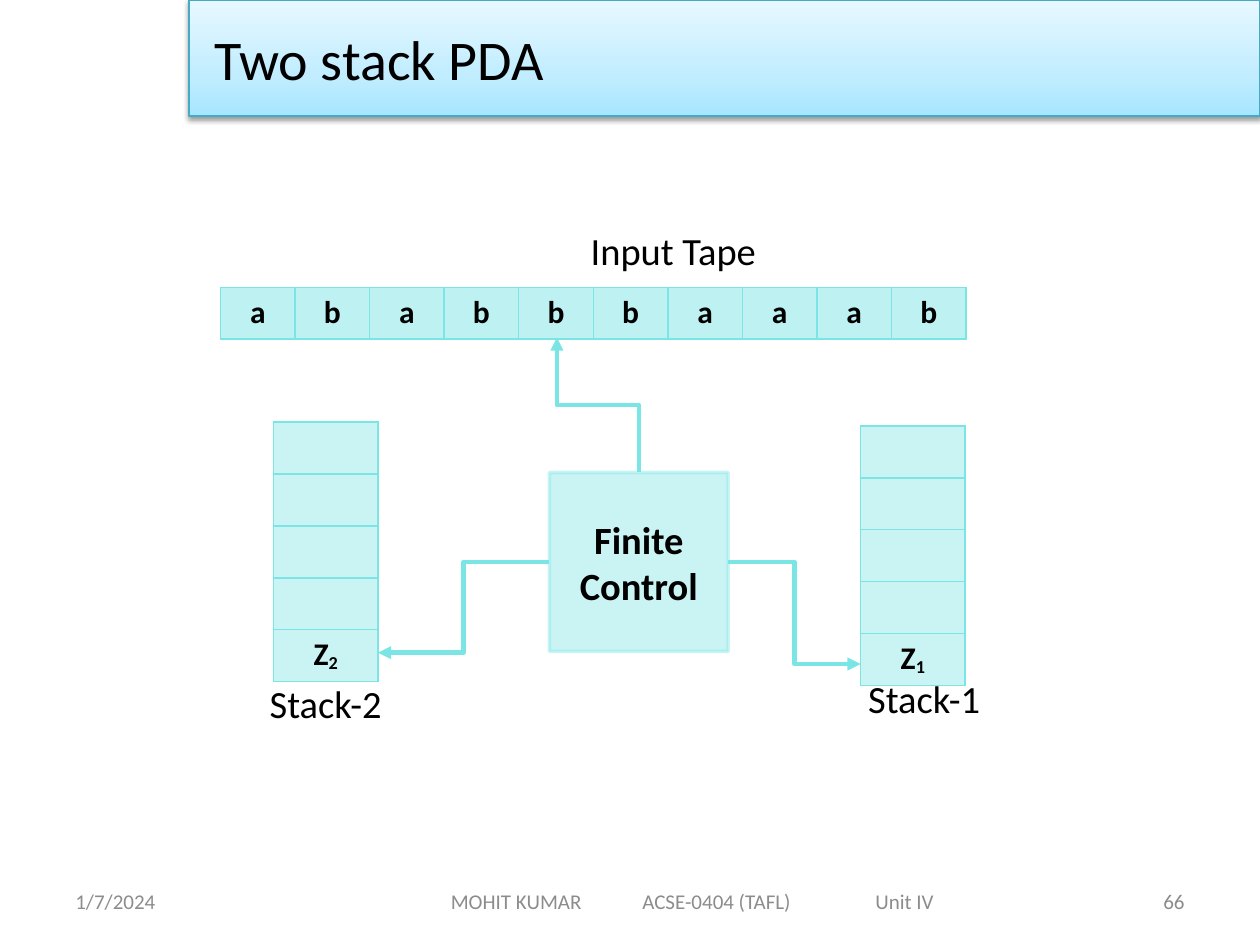
from lxml.etree import SubElement
from pptx import Presentation
from pptx.dml.color import RGBColor
from pptx.enum.shapes import MSO_CONNECTOR, MSO_SHAPE
from pptx.enum.text import MSO_ANCHOR, PP_ALIGN
from pptx.oxml import parse_xml
from pptx.oxml.ns import nsdecls, qn
from pptx.util import Inches, Pt

FONT = "Calibri"
BLACK, GREY, TEAL = "000000", "8C8C8C", "7BE5E5"
HEADER_STOPS = [(0, "A7E6FF"), (35, "C1EDFF"), (100, "E7F8FF")]


def color(hex_text):
    return RGBColor.from_string(hex_text)


def set_alpha(element, percent):
    """Make every colour inside the element partly transparent."""
    for node in element.iter(qn("a:srgbClr")):
        SubElement(node, qn("a:alpha"), val=str(percent * 1000))


class SlideBuilder:
    def __init__(self, slide):
        self.slide = slide
        self.shapes = slide.shapes

    def style(self, para, size, bold=False, ink=BLACK, align=PP_ALIGN.LEFT):
        para.alignment = align
        para.font.name = FONT
        para.font.size = Pt(size)
        para.font.bold = bold
        para.font.color.rgb = color(ink)

    def text(self, words, left, top, width, height, size=22, ink=BLACK,
             align=PP_ALIGN.LEFT, anchor=MSO_ANCHOR.TOP, tabs=()):
        box = self.shapes.add_textbox(Inches(left), Inches(top), Inches(width), Inches(height))
        frame = box.text_frame
        frame.word_wrap = True
        frame.vertical_anchor = anchor
        para = frame.paragraphs[0]
        para.text = words
        self.style(para, size, ink=ink, align=align)
        if tabs:
            tab_list = parse_xml(f"<a:tabLst {nsdecls('a')}/>")
            for stop in tabs:
                SubElement(tab_list, qn("a:tab"), pos=str(Inches(stop)), algn="l")
            para._p.pPr.insert(0, tab_list)

    def rectangle(self, words, left, top, width, height, size, line, line_width,
                  bold=False, align=PP_ALIGN.LEFT):
        box = self.shapes.add_shape(MSO_SHAPE.RECTANGLE, Inches(left), Inches(top),
                                    Inches(width), Inches(height))
        box.shadow.inherit = False
        box.fill.solid()
        box.fill.fore_color.rgb = color(TEAL)
        box.line.color.rgb = color(line)
        box.line.width = Pt(line_width)
        box.text_frame.word_wrap = True
        box.text_frame.vertical_anchor = MSO_ANCHOR.MIDDLE
        para = box.text_frame.paragraphs[0]
        para.text = words
        self.style(para, size, bold, align=align)
        return box

    def header(self, words):
        """Title band with a three-stop gradient and a soft shadow below."""
        band = self.rectangle(words, 1.5, 0, 8.5, 0.92, 32, "46AAC5", 0.75)
        band.text_frame.margin_left = Inches(0.2)
        stops = "".join(f'<a:gs pos="{position * 1000}"><a:srgbClr val="{shade}"/></a:gs>'
                        for position, shade in HEADER_STOPS)
        properties = band._element.spPr
        properties.replace(properties.find(qn("a:solidFill")), parse_xml(
            f'<a:gradFill {nsdecls("a")} rotWithShape="1"><a:gsLst>{stops}</a:gsLst>'
            '<a:lin ang="16200000" scaled="0"/></a:gradFill>'))
        shadow = SubElement(properties.find(qn("a:effectLst")), qn("a:outerShdw"),
                            blurRad=str(Pt(3.1)), dist=str(Pt(1.6)), dir="5400000",
                            rotWithShape="0")
        SubElement(shadow, qn("a:srgbClr"), val=BLACK)
        set_alpha(shadow, 38)

    def table(self, rows, left, top, width, height, alpha):
        """Each cell is a list: its text, then an optional subscript."""
        frame = self.shapes.add_table(len(rows), len(rows[0]), Inches(left), Inches(top),
                                      Inches(width), Inches(height))
        table = frame.table
        table.first_row = table.horz_banding = False
        for row_index, row in enumerate(rows):
            for column_index, pieces in enumerate(row):
                self.cell(table.cell(row_index, column_index), pieces, alpha)

    def cell(self, cell, pieces, alpha):
        para = cell.text_frame.paragraphs[0]
        self.style(para, 18, True, align=PP_ALIGN.CENTER)
        for index, piece in enumerate(pieces):
            span = para.add_run()
            span.text = piece
            if index:
                span.font._element.set("baseline", "-12000")
        properties = cell._tc.get_or_add_tcPr()
        for side in ("lnL", "lnR", "lnT", "lnB"):
            border = SubElement(properties, qn(f"a:{side}"), w=str(Pt(1)))
            SubElement(SubElement(border, qn("a:solidFill")), qn("a:srgbClr"), val=TEAL)
        cell.fill.solid()
        cell.fill.fore_color.rgb = color(TEAL)
        set_alpha(properties.find(qn("a:solidFill")), alpha)

    def elbow(self, start, end, upward=False):
        """Bent arrow; an upward one is laid out flat and turned a quarter left."""
        if upward:
            middle_x, middle_y = (start[0] + end[0]) / 2, (start[1] + end[1]) / 2
            start, end = [(middle_x - (y - middle_y), middle_y + (x - middle_x))
                          for x, y in (start, end)]
        arrow = self.shapes.add_connector(MSO_CONNECTOR.ELBOW,
                                          *[Inches(length) for length in (*start, *end)])
        arrow.line.color.rgb = color(TEAL)
        arrow.line.width = Pt(2.5)
        properties = arrow._element.spPr
        SubElement(properties.find(qn("a:ln")), qn("a:tailEnd"), type="triangle")
        SubElement(properties, qn("a:effectLst"))
        if upward:
            properties.find(qn("a:xfrm")).set("rot", "16200000")


def main():
    deck = Presentation()
    deck.slide_width, deck.slide_height = Inches(10), Inches(7.5)
    page = SlideBuilder(deck.slides.add_slide(deck.slide_layouts[6]))

    page.header("Two stack PDA")

    page.table([[[symbol] for symbol in "ababbbaaab"]], 1.75, 2.28, 5.92, 0.41, 49)
    page.text("Input Tape", 4.59, 1.75, 2.14, 0.47)

    stacks = [("1", 6.83, 3.38, 6.75, 5.31), ("2", 2.17, 3.35, 2, 5.35)]
    for number, left, top, label_left, label_top in stacks:
        page.table([[[]]] * 4 + [[["Z", number]]], left, top, 0.83, 2.06, 40)
        page.text(f"Stack-{number}", label_left, label_top, 1.17, 0.47, align=PP_ALIGN.CENTER)

    control = page.rectangle("Finite Control", 4.36, 3.75, 1.42, 1.42, 22, TEAL, 2,
                             bold=True, align=PP_ALIGN.CENTER)
    set_alpha(control._element.spPr, 40)
    page.elbow((5.07, 3.75), (4.42, 2.68), upward=True)
    page.elbow((5.78, 4.46), (6.83, 5.27))
    page.elbow((4.36, 4.46), (3, 5.18))

    footer = {"size": 12, "ink": GREY, "anchor": MSO_ANCHOR.MIDDLE}
    page.text("1/7/2024", 0.5, 6.95, 2.33, 0.4, **footer)
    page.text("MOHIT KUMAR\tACSE-0404 (TAFL)\tUnit IV", 3.48, 6.95, 4.77, 0.4,
              tabs=(1.52, 3.37), **footer)
    page.text("66", 7.17, 6.95, 2.33, 0.4, align=PP_ALIGN.RIGHT, **footer)

    deck.save("out.pptx")


if __name__ == "__main__":
    main()
